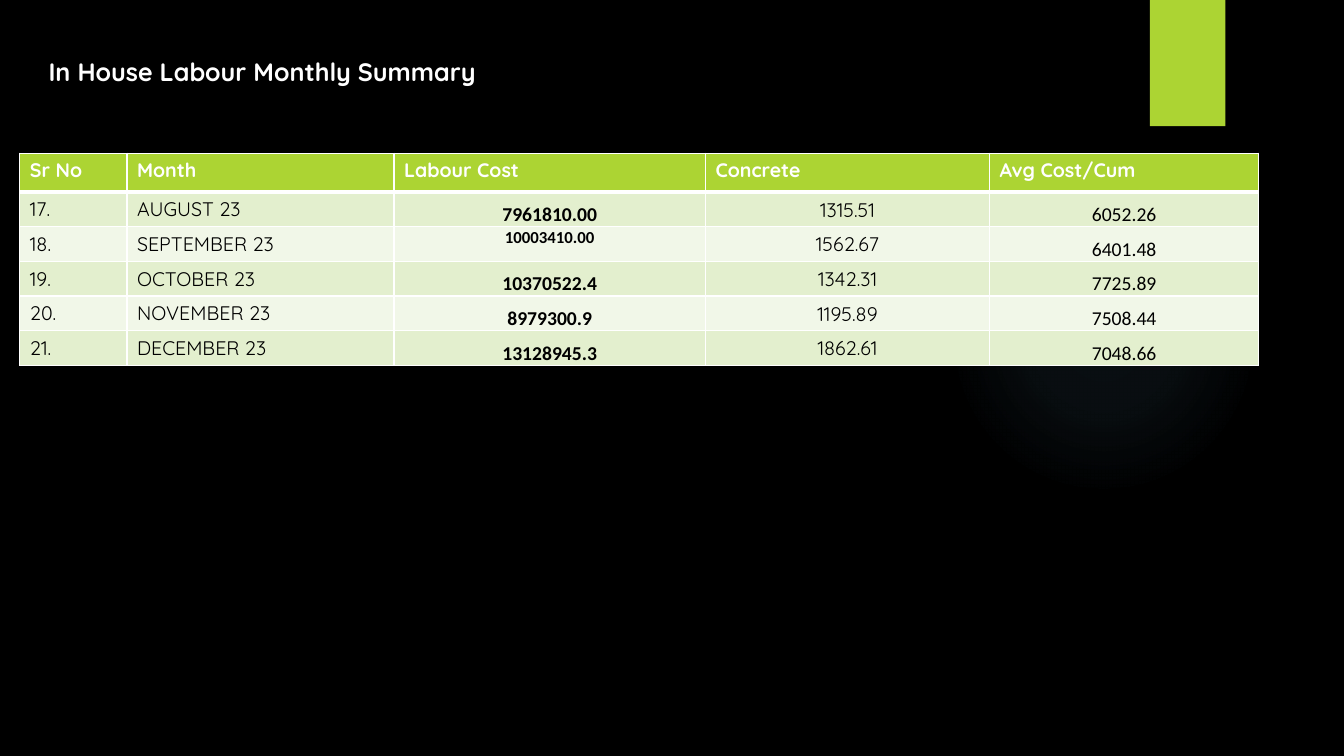
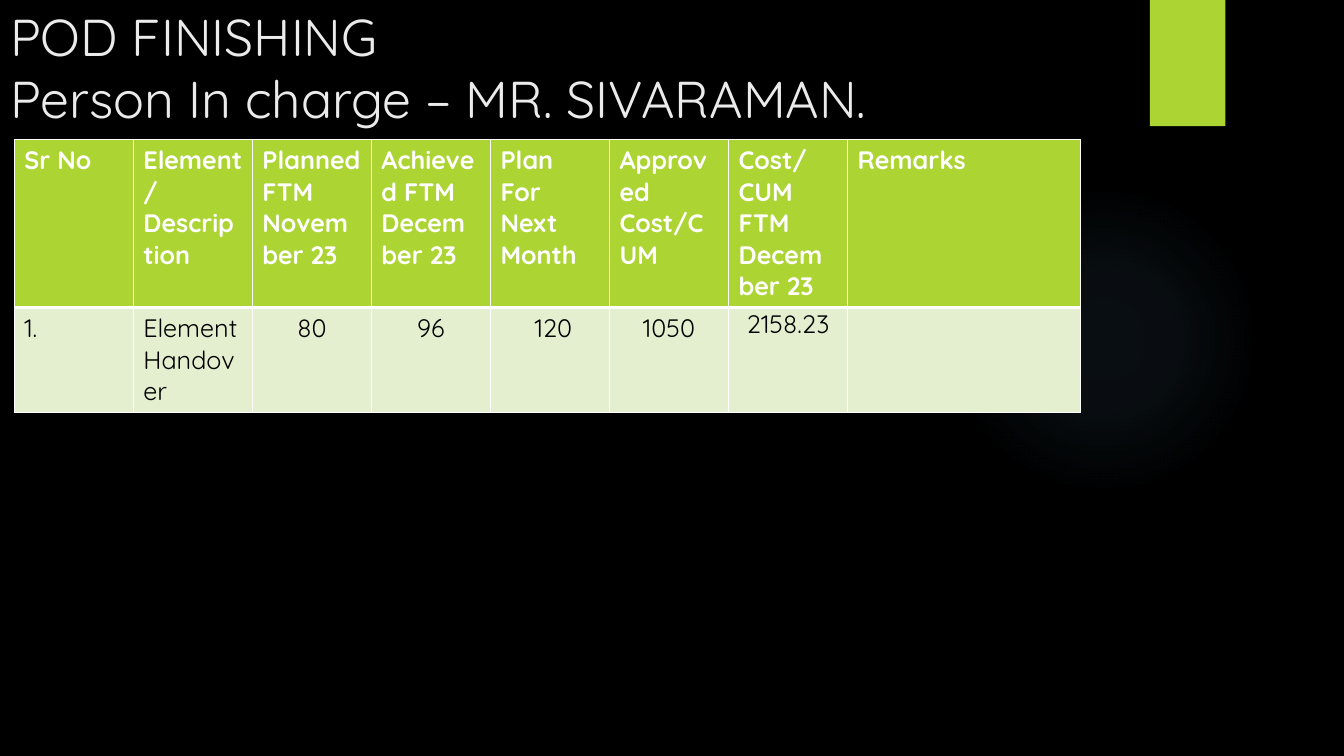
from dataclasses import dataclass, replace

from lxml import etree
from pptx import Presentation
from pptx.dml.color import RGBColor
from pptx.enum.shapes import MSO_SHAPE
from pptx.enum.text import MSO_ANCHOR, MSO_AUTO_SIZE, PP_ALIGN
from pptx.oxml.ns import qn
from pptx.util import Cm, Pt

LEFT, CENTER = PP_ALIGN.LEFT, PP_ALIGN.CENTER
TOP, MIDDLE, BOTTOM = MSO_ANCHOR.TOP, MSO_ANCHOR.MIDDLE, MSO_ANCHOR.BOTTOM
NO_AUTOFIT = MSO_AUTO_SIZE.NONE
OVAL, RECTANGLE = MSO_SHAPE.OVAL, MSO_SHAPE.RECTANGLE

BLACK, WHITE, SOFT_WHITE = "000000", "FFFFFF", "EBEBEB"
GREEN, GLOW = "ACD433", "7AC4F0"
BANDS = ("E3EFCE", "F1F7E8")
MAIN_FONT, NUMBER_FONT = "Quicksand", "Calibri"
TITLE_ONLY = 5
GLOW_STOPS = ((0, 7), (36, 6), (69, 0))
THIN, THICK = 1, 3


@dataclass(frozen=True)
class TextStyle:
    size: int
    color: str = BLACK
    bold: bool = False
    font: str = MAIN_FONT


@dataclass(frozen=True)
class CellStyle:
    text: TextStyle
    align: PP_ALIGN = LEFT
    anchor: MSO_ANCHOR = TOP
    tight: bool = False


@dataclass(frozen=True)
class Column:
    heading: str
    width: float
    style: CellStyle


@dataclass(frozen=True)
class Title:
    text: str
    place: tuple[float, float, float, float]
    style: TextStyle


@dataclass(frozen=True)
class Grid:
    left: float
    top: float
    header_height: float
    row_height: float
    header: TextStyle
    columns: list[Column]
    rows: list[tuple[str, ...]]
    exceptions: dict[tuple[int, int], CellStyle]


def rgb(color: str) -> RGBColor:
    return RGBColor.from_string(color)


def format_paragraph(para, style: TextStyle, align: PP_ALIGN) -> None:
    para.alignment = align
    for font in [para.font] + [span.font for span in para.runs]:
        font.name = style.font
        font.size = Pt(style.size)
        font.bold = style.bold
        font.color.rgb = rgb(style.color)


def add_plain_shape(page, kind: MSO_SHAPE, place: tuple[float, ...], color: str):
    shape = page.shapes.add_shape(kind, *map(Cm, place))
    shape.shadow.inherit = False
    shape.line.fill.background()
    shape.fill.solid()
    shape.fill.fore_color.rgb = rgb(color)
    return shape


def add_glow(page) -> None:
    glow = add_plain_shape(page, OVAL, (23.9, 4.65, 7.82, 7.82), GLOW)
    solid = glow.element.spPr.find(qn("a:solidFill"))
    gradient = etree.Element(qn("a:gradFill"), rotWithShape="1")
    stops = etree.SubElement(gradient, qn("a:gsLst"))
    for position, opacity in GLOW_STOPS:
        stop = etree.SubElement(stops, qn("a:gs"), pos=str(position * 1000))
        color = etree.SubElement(stop, qn("a:srgbClr"), val=GLOW)
        etree.SubElement(color, qn("a:alpha"), val=str(opacity * 1000))
    circle = etree.SubElement(gradient, qn("a:path"), path="circle")
    etree.SubElement(circle, qn("a:fillToRect"), l="50000", t="50000", r="50000", b="50000")
    solid.getparent().replace(solid, gradient)


def add_title(page, title: Title) -> None:
    box = page.shapes.title
    box.left, box.top, box.width, box.height = map(Cm, title.place)
    frame = box.text_frame
    frame.text = title.text
    frame.word_wrap = True
    frame.auto_size = NO_AUTOFIT
    frame.vertical_anchor = TOP
    format_paragraph(frame.paragraphs[0], title.style, LEFT)


def add_borders(cell, top: int, bottom: int) -> None:
    properties = cell._tc.get_or_add_tcPr()
    for side, width in (("L", THIN), ("R", THIN), ("T", top), ("B", bottom)):
        line = etree.SubElement(properties, qn(f"a:ln{side}"), w=str(Pt(width)))
        fill = etree.SubElement(line, qn("a:solidFill"))
        etree.SubElement(fill, qn("a:srgbClr"), val=WHITE)


def fill_cell(cell, text: str, style: CellStyle, color: str, top: int, bottom: int) -> None:
    cell.text = text
    cell.vertical_anchor = style.anchor
    if style.tight:
        cell.margin_left = cell.margin_right = cell.margin_top = Cm(0.02)
        cell.margin_bottom = 0
    format_paragraph(cell.text_frame.paragraphs[0], style.text, style.align)
    add_borders(cell, top, bottom)
    cell.fill.solid()
    cell.fill.fore_color.rgb = rgb(color)


def add_grid(page, grid: Grid) -> None:
    heights = [grid.header_height] + [grid.row_height] * len(grid.rows)
    width = sum(column.width for column in grid.columns)
    table = page.shapes.add_table(
        len(heights), len(grid.columns), Cm(grid.left), Cm(grid.top), Cm(width), Cm(sum(heights))
    ).table
    for row, height in zip(table.rows, heights):
        row.height = Cm(height)
    for across, column in enumerate(grid.columns):
        table.columns[across].width = Cm(column.width)
        fill_cell(table.cell(0, across), column.heading, CellStyle(grid.header), GREEN, THIN, THICK)
        for down, values in enumerate(grid.rows):
            style = grid.exceptions.get((down, across), column.style)
            top = THIN if down else THICK
            band = BANDS[down % len(BANDS)]
            fill_cell(table.cell(down + 1, across), values[across], style, band, top, THIN)


def add_page(deck, title: Title, grid: Grid) -> None:
    page = deck.slides.add_slide(deck.slide_layouts[TITLE_ONLY])
    add_glow(page)
    add_plain_shape(page, RECTANGLE, (28.98, 0, 1.9, 3.18), GREEN)
    add_title(page, title)
    add_grid(page, grid)


def labour_grid() -> Grid:
    plain = CellStyle(TextStyle(14))
    concrete = CellStyle(TextStyle(14), CENTER, MIDDLE, True)
    average = CellStyle(TextStyle(14, font=NUMBER_FONT), CENTER, BOTTOM, True)
    cost = replace(average, text=replace(average.text, bold=True))
    small_cost = replace(cost, text=replace(cost.text, size=12), anchor=TOP)
    columns = [
        Column("Sr No", 2.7, plain),
        Column("Month", 6.73, plain),
        Column("Labour Cost", 7.85, cost),
        Column("Concrete", 7.16, concrete),
        Column("Avg Cost/Cum", 6.78, average),
    ]
    rows = [
        ("17.", "AUGUST 23", "7961810.00", "1315.51", "6052.26"),
        ("18.", "SEPTEMBER 23", "10003410.00", "1562.67", "6401.48"),
        ("19.", "OCTOBER 23", "10370522.4", "1342.31", "7725.89"),
        ("20.", "NOVEMBER 23", "8979300.9", "1195.89", "7508.44"),
        ("21.", "DECEMBER 23", "13128945.3", "1862.61", "7048.66"),
    ]
    header = TextStyle(14, WHITE, True)
    return Grid(0.5, 3.86, 0.98, 0.87, header, columns, rows, {(1, 2): small_cost})


def finishing_grid() -> Grid:
    plain = CellStyle(TextStyle(18))
    centred = replace(plain, align=CENTER)
    columns = [
        Column("Sr No", 3, plain),
        Column("Element/Description", 3, plain),
        Column("Planned FTM November 23", 3, centred),
        Column("Achieved FTM December 23", 3, centred),
        Column("Plan For Next Month", 3, centred),
        Column("Approved Cost/CUM", 3, centred),
        Column("Cost/CUM FTM December 23", 3, replace(centred, tight=True)),
        Column("Remarks", 5.87, plain),
    ]
    rows = [("1.", "Element Handover", "80", "96", " 120", "1050", "2158.23", "")]
    return Grid(0.36, 3.51, 4.23, 2.64, TextStyle(18, WHITE, True), columns, rows, {})


def main() -> None:
    deck = Presentation()
    deck.slide_width, deck.slide_height = Cm(33.87), Cm(19.05)
    background = deck.slide_master.background.fill
    background.solid()
    background.fore_color.rgb = rgb(BLACK)
    labour_title = Title(
        "In House Labour Monthly Summary", (0.97, 1.3, 16.92, 1.8), TextStyle(18, WHITE, True)
    )
    finishing_title = Title(
        "POD FINISHING\vPerson In charge – MR. SIVARAMAN.",
        (0, 0, 24.51, 3.25),
        TextStyle(37, SOFT_WHITE),
    )
    add_page(deck, labour_title, labour_grid())
    add_page(deck, finishing_title, finishing_grid())
    deck.save("out.pptx")


if __name__ == "__main__":
    main()
